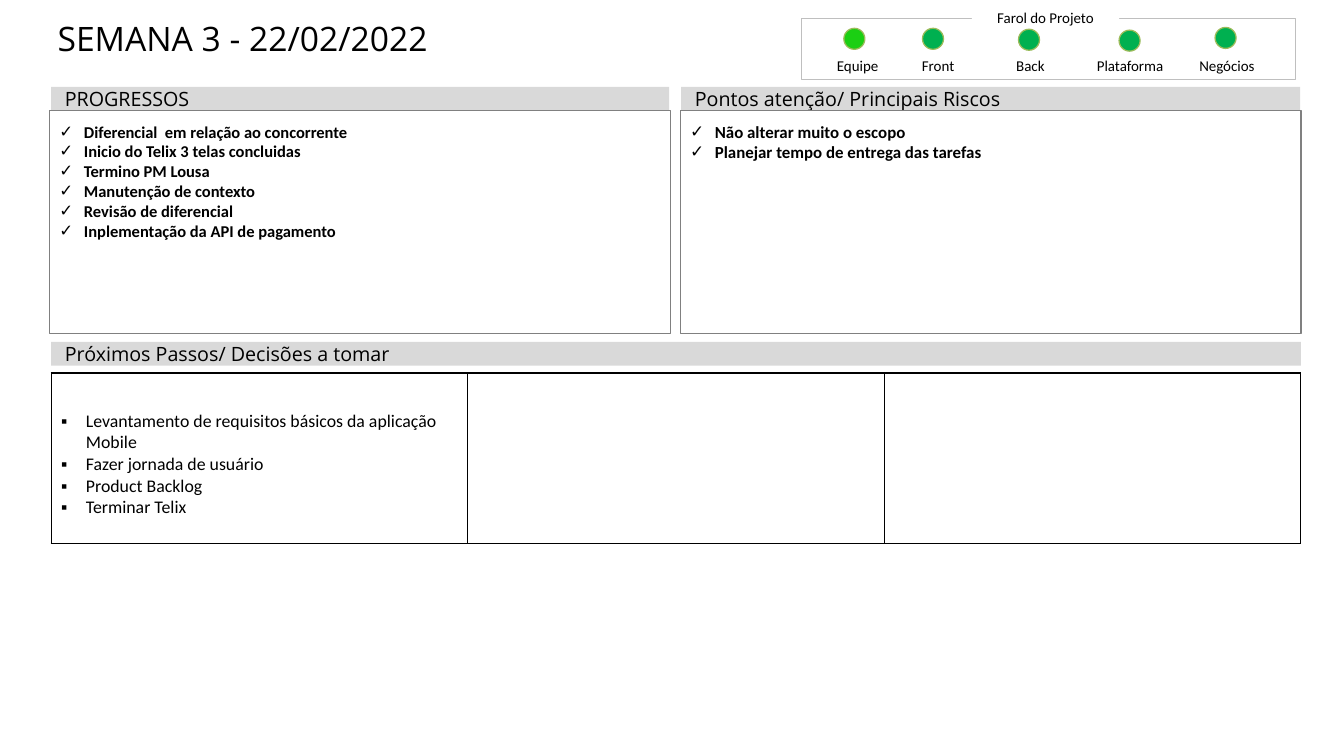
from dataclasses import dataclass

import pptx
import pptx.dml.color
import pptx.enum.shapes
import pptx.enum.text
import pptx.oxml
import pptx.oxml.ns
import pptx.util

Inches = pptx.util.Inches
Pt = pptx.util.Pt
Kind = pptx.enum.shapes.MSO_SHAPE
Anchor = pptx.enum.text.MSO_ANCHOR
Align = pptx.enum.text.PP_ALIGN

COLORS = {"black": "000000", "white": "FFFFFF", "bar": "D9D9D9", "edge": "808080",
          "frame": "BFBFBF", "green": "00B050", "bright": "1BCF13", "ring": "9BBB59"}
HEAD, BODY = "Open Sans", "Calibri"
NS = 'xmlns:a="http://schemas.openxmlformats.org/drawingml/2006/main"'
LEFT, RIGHT = 0.56, 7.45
WIDE = 13.67


@dataclass
class Bar:
    text: str
    left: float
    top: float
    width: float


@dataclass
class Panel:
    left: float
    size: float
    items: list[str]


@dataclass
class Light:
    name: str
    left: float
    dot_x: float
    dot_y: float
    color: str = "green"


BARS = [
    Bar("PROGRESSOS", LEFT, 0.95, 6.76),
    Bar("Pontos atenção/ Principais Riscos", RIGHT, 0.95, 6.77),
    Bar("Próximos Passos/ Decisões a tomar", LEFT, 3.74, WIDE),
]
PANELS = [
    Panel(0.54, 13, [
        "Diferencial\u00a0 em relação ao concorrente",
        "Inicio do Telix 3 telas concluidas",
        "Termino PM Lousa",
        "Manutenção de contexto",
        "Revisão de diferencial",
        "Inplementação da API de pagamento",
    ]),
    Panel(7.44, 13.3, [
        "Não alterar muito o escopo",
        "Planejar tempo de entrega das tarefas",
    ]),
]
LIGHTS = [
    Light("Equipe", 8.89, 9.23, 0.31, "bright"),
    Light("Front", 9.77, 10.09, 0.31),
    Light("Back", 10.78, 11.14, 0.32),
    Light("Plataforma", 11.87, 12.24, 0.33),
    Light("Negócios", 12.93, 13.29, 0.3),
]
STEPS = [
    "Levantamento de requisitos básicos da aplicação Mobile",
    "Fazer jornada de usuário",
    "Product Backlog",
    "Terminar Telix",
]

deck = pptx.Presentation()
deck.slide_width, deck.slide_height = Inches(14.7), Inches(8.27)
slide = deck.slides.add_slide(deck.slide_layouts[6])


def shade(name: str) -> pptx.dml.color.RGBColor:
    return pptx.dml.color.RGBColor.from_string(COLORS[name])


def add_box(box: tuple, fill: str = "", line: str = "", width: float = 1,
            kind: Kind = Kind.RECTANGLE):
    shape = slide.shapes.add_shape(kind, *map(Inches, box))
    shape.shadow.inherit = False
    if fill:
        shape.fill.solid()
        shape.fill.fore_color.rgb = shade(fill)
    else:
        shape.fill.background()
    if line:
        shape.line.color.rgb = shade(line)
        shape.line.width = Pt(width)
    else:
        shape.line.fill.background()
    return shape


def set_frame(frame, pads: tuple, anchor: Anchor, wrap: bool = True) -> None:
    frame.margin_left, frame.margin_top, frame.margin_right, frame.margin_bottom = map(Inches, pads)
    frame.vertical_anchor = anchor
    frame.word_wrap = wrap


def add_run(para, text: str, size: float, font: str = BODY, bold: bool = False,
            align: Align = Align.LEFT) -> None:
    para.alignment = align
    run = para.add_run()
    run.text = text
    run.font.name = font
    run.font.size = Pt(size)
    run.font.bold = bold
    run.font.color.rgb = shade("black")


def add_list(frame, items: list[str], mark: str, size: float, bold: bool = False) -> None:
    for index, item in enumerate(items):
        para = frame.paragraphs[0] if index == 0 else frame.add_paragraph()
        add_run(para, item, size, bold=bold)
        props = para._p.get_or_add_pPr()
        props.set("marL", str(Inches(0.28)))
        props.set("indent", str(Inches(-0.27)))
        for part in (f'<a:buClr {NS}><a:srgbClr val="{COLORS["black"]}"/></a:buClr>',
                     f'<a:buFont {NS} typeface="Arial"/>',
                     f'<a:buChar {NS} char="{mark}"/>'):
            props.append(pptx.oxml.parse_xml(part))


def add_label(shape, text: str) -> None:
    set_frame(shape.text_frame, (0.06, 0.06, 0.06, 0), Anchor.BOTTOM, False)
    add_run(shape.text_frame.paragraphs[0], text, 11.8, align=Align.CENTER)


def add_edges(cell) -> None:
    props = cell._tc.get_or_add_tcPr()
    for index, side in enumerate(("lnL", "lnR", "lnT", "lnB")):
        props.insert(index, pptx.oxml.parse_xml(
            f'<a:{side} {NS} w="{Pt(1)}"><a:solidFill><a:srgbClr val="{COLORS["black"]}"/>'
            f'</a:solidFill></a:{side}>'))


def add_steps() -> None:
    table = slide.shapes.add_table(1, 3, *map(Inches, (LEFT, 4.08, WIDE, 1.87))).table
    table.first_row = table.horz_banding = False
    for cell in table.iter_cells():
        cell.fill.background()
        add_edges(cell)
    first = table.cell(0, 0)
    first.margin_top = Inches(0.41)
    add_list(first.text_frame, STEPS, "▪", 14)


title = slide.shapes.add_textbox(*map(Inches, (0.51, 0.2, 13.23, 0.87))).text_frame
set_frame(title, (0.12, 0, 0.12, 0), Anchor.TOP)
add_run(title.paragraphs[0], "SEMANA 3 - 22/02/2022", 26.5, HEAD)

for bar in BARS:
    frame = add_box((bar.left, bar.top, bar.width, 0.26), "bar").text_frame
    set_frame(frame, (0.15, 0.07, 0.15, 0.07), Anchor.MIDDLE)
    add_run(frame.paragraphs[0], bar.text, 15.5, HEAD)

for panel in PANELS:
    frame = add_box((panel.left, 1.21, 6.79, 2.44), line="edge").text_frame
    set_frame(frame, (0.1, 0.12, 0.1, 0.05), Anchor.TOP)
    add_list(frame, panel.items, "✓", panel.size, True)

add_steps()

add_box((8.77, 0.2, 5.4, 0.67), line="frame", width=0.5)
add_label(add_box((10.63, 0.06, 1.61, 0.23), "white"), "Farol do Projeto")
for light in LIGHTS:
    add_box((light.dot_x, light.dot_y, 0.23, 0.23), light.color, "ring", kind=Kind.OVAL)
    add_label(slide.shapes.add_textbox(*map(Inches, (light.left, 0.63, 0.98, 0.19))), light.name)

deck.save("out.pptx")
